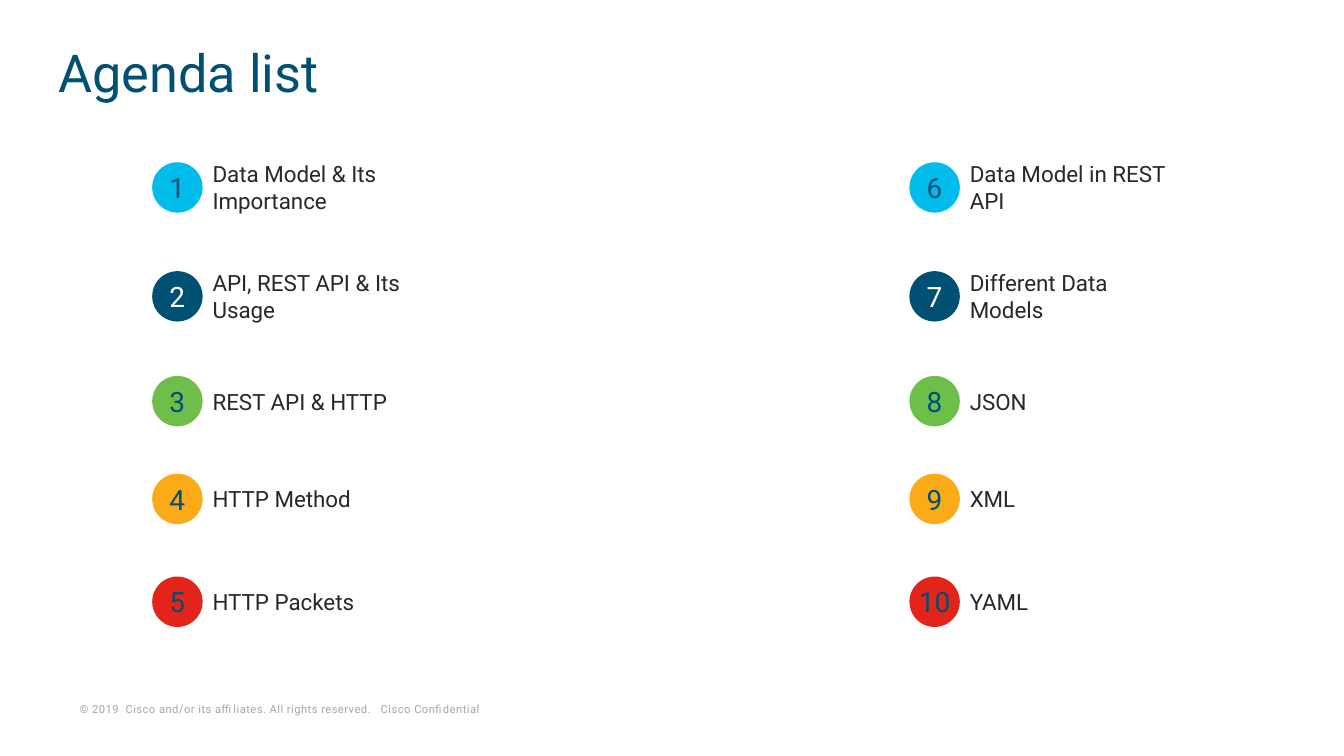
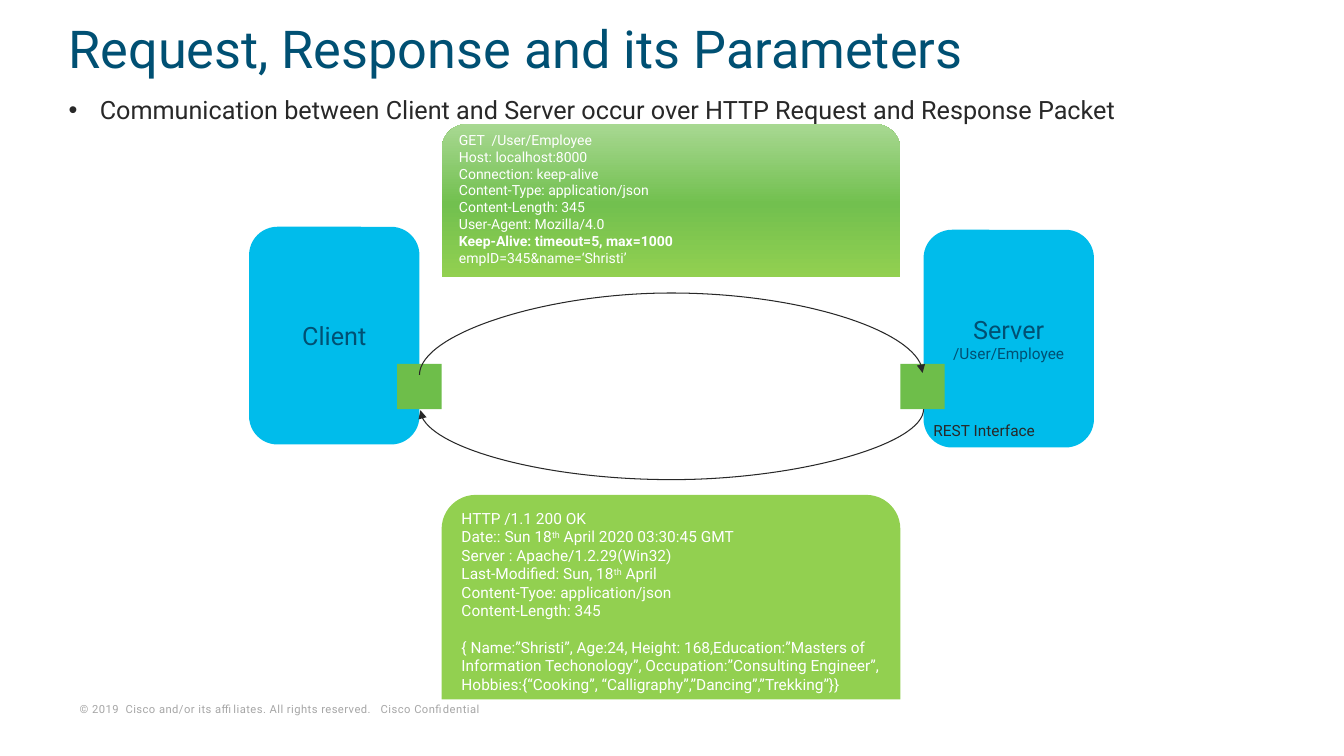
"""Build a two-slide deck on REST APIs: an agenda and a request and response diagram."""
import copy
from dataclasses import dataclass

import pptx
import pptx.dml.color
import pptx.enum.shapes
import pptx.enum.text
import pptx.oxml.ns
import pptx.util
from lxml import etree

Inches = pptx.util.Inches
Shape = pptx.enum.shapes.MSO_SHAPE
Anchor = pptx.enum.text.MSO_ANCHOR
Align = pptx.enum.text.PP_ALIGN
qn = pptx.oxml.ns.qn


@dataclass(frozen=True)
class Theme:
    font: str = "Roboto"
    navy: str = "005073"
    sky: str = "00BCEB"
    green: str = "6EBE4A"
    lime: str = "92D050"
    amber: str = "FBAB18"
    red: str = "E3241B"
    ink: str = "282828"
    grey: str = "A6A6A6"
    white: str = "FFFFFF"
    request_stops: tuple = ((0, "92D050"), (0.48, "72C04F"), (1, "A8D892"))
    title: float = 37.3
    number: float = 20
    heading: float = 18
    label: float = 16
    detail: float = 11
    code: float = 10
    footer: float = 8


@dataclass(frozen=True)
class Span:
    text: str
    bold: bool = False
    raised: bool = False


THEME = Theme()
FOOTER = "© 2019  Cisco and/or its affiliates. All rights reserved.   Cisco Confidential"
AGENDA_COLUMNS = (
    (1.51, ("Data Model & Its Importance", "API, REST API & Its Usage",
            "REST API & HTTP", "HTTP Method", "HTTP Packets")),
    (9.02, ("Data Model in REST API", "Different Data Models", "JSON", "XML", "YAML")),
)
AGENDA_ROWS = (
    (1.86, THEME.sky, THEME.navy),
    (2.94, THEME.navy, THEME.white),
    (3.98, THEME.green, THEME.navy),
    (4.95, THEME.amber, THEME.navy),
    (5.97, THEME.red, THEME.navy),
)
REQUEST_LINES = (
    (Span("GET  /User/Employee"),),
    (Span("Host: localhost:8000"),),
    (Span("Connection: keep-alive"),),
    (Span("Content-Type: application/json"),),
    (Span("Content-Length: 345"),),
    (Span("User-Agent: Mozilla/4.0"),),
    (Span("Keep-Alive: timeout=5, max=1000", bold=True),),
    (Span("empID=345&name=‘Shristi’"),),
)
RESPONSE_LINES = (
    (Span("HTTP /1.1 200 OK"),),
    (Span("Date:: Sun 18"), Span("th", raised=True), Span(" April 2020 03:30:45 GMT")),
    (Span("Server : Apache/1.2.29(Win32)"),),
    (Span("Last-Modified: Sun, 18"), Span("th", raised=True), Span(" April")),
    (Span("Content-Tyoe: application/json"),),
    (Span("Content-Length: 345"),),
    (Span("{ Name:”Shristi”, Age:24, Height: 168,Education:”Masters of Information "
          "Techonology”, Occupation:”Consulting Engineer”, "
          "Hobbies:{“Cooking”, “Calligraphy”,”Dancing”,”Trekking”}}"),),
)


def rgb(value):
    return pptx.dml.color.RGBColor.from_string(value)


def place(shape, left, top, width, height):
    shape.left, shape.top = Inches(left), Inches(top)
    shape.width, shape.height = Inches(width), Inches(height)


def write_para(para, spans, size, colour, align=Align.LEFT):
    para.alignment = align
    for span in spans:
        run = para.add_run()
        run.text = span.text
        run.font.name = THEME.font
        run.font.size = pptx.util.Pt(size)
        run.font.bold = span.bold
        run.font.color.rgb = rgb(colour)
        if span.raised:
            run.font._element.set("baseline", "30000")


def write_lines(frame, lines, size, colour, align=Align.LEFT):
    for index, spans in enumerate(lines):
        para = frame.add_paragraph() if index else frame.paragraphs[0]
        write_para(para, spans, size, colour, align)


def add_label(slide, bounds, text, size, colour, anchor=Anchor.TOP, wrap=True):
    box = slide.shapes.add_textbox(*map(Inches, bounds))
    frame = box.text_frame
    frame.word_wrap = wrap
    frame.vertical_anchor = anchor
    write_para(frame.paragraphs[0], [Span(text)], size, colour)
    return box


def add_block(slide, kind, bounds, fill):
    block = slide.shapes.add_shape(kind, *map(Inches, bounds))
    block.shadow.inherit = False
    block.fill.solid()
    block.fill.fore_color.rgb = rgb(fill)
    block.line.fill.background()
    block.text_frame.word_wrap = True
    block.text_frame.vertical_anchor = Anchor.MIDDLE
    return block


def add_badge(slide, left, centre, number, fill, colour):
    badge = add_block(slide, Shape.OVAL, (left, centre - 0.25, 0.5, 0.5), fill)
    frame = badge.text_frame
    frame.margin_left = frame.margin_right = 0
    write_para(frame.paragraphs[0], [Span(str(number))], THEME.number, colour, Align.CENTER)


def add_node(slide, left, top, name, detail=None):
    node = add_block(slide, Shape.ROUNDED_RECTANGLE, (left, top, 1.69, 2.16), THEME.sky)
    frame = node.text_frame
    write_para(frame.paragraphs[0], [Span(name)], THEME.heading, THEME.navy, Align.CENTER)
    if detail:
        write_para(frame.add_paragraph(), [Span(detail)], THEME.detail, THEME.navy, Align.CENTER)


def add_port(slide, left):
    add_block(slide, Shape.RECTANGLE, (left, 3.61, 0.44, 0.45), THEME.green)


def add_packet(slide, top, height, lines, size, inset):
    bounds = (4.38, top, 4.55, height)
    packet = add_block(slide, Shape.ROUND_2_SAME_RECTANGLE, bounds, THEME.lime)
    frame = packet.text_frame
    frame.vertical_anchor = Anchor.TOP
    frame.margin_top, frame.margin_bottom = Inches(inset), 0
    write_lines(frame, lines, size, THEME.white)
    return packet


def shade(shape, stops):
    """Fill a shape with a gradient that runs upwards through the stops."""
    shape.fill.gradient()
    shape.fill.gradient_angle = 90
    stop_list = shape._element.spPr.find(".//" + qn("a:gsLst"))
    while len(stop_list) < len(stops):
        stop_list.append(copy.deepcopy(stop_list[0]))
    for stop, (position, colour) in zip(shape.fill.gradient_stops, stops):
        stop.position = position
        stop.color.rgb = rgb(colour)


def add_arc_arrow(slide, start, end, rise):
    """Draw a curved arrow, turned a quarter, that bulges up when it goes right."""
    (start_x, start_y), (end_x, end_y) = start, end
    width, height = abs(end_y - start_y), abs(end_x - start_x)
    left = (start_x + end_x - width) / 2
    top = (start_y + end_y - height) / 2
    corners = [(left, top), (left + width, top + height)]
    if end_x > start_x:
        corners.reverse()
    arrow = slide.shapes.add_connector(
        pptx.enum.shapes.MSO_CONNECTOR.CURVE,
        *(Inches(value) for corner in corners for value in corner))
    arrow.rotation = 90
    arrow.line.color.rgb = rgb(THEME.ink)
    arrow.line.width = pptx.util.Pt(0.75)
    properties = arrow._element.spPr
    guides = properties.find(".//" + qn("a:avLst"))
    bend = round(rise / width * 100000)
    etree.SubElement(guides, qn("a:gd"), name="adj1", fmla=f"val {bend}")
    etree.SubElement(properties.find(qn("a:ln")), qn("a:tailEnd"), type="triangle")
    etree.SubElement(properties, qn("a:effectLst"))


def set_title(slide, text, bounds):
    title = slide.shapes.title
    place(title, *bounds)
    frame = title.text_frame
    frame.auto_size = pptx.enum.text.MSO_AUTO_SIZE.NONE
    frame.vertical_anchor = Anchor.MIDDLE
    para = frame.paragraphs[0]
    para.line_spacing = 0.8
    write_para(para, [Span(text)], THEME.title, THEME.navy)


def set_bullet(slide, text, bounds):
    body = slide.placeholders[1]
    place(body, *bounds)
    body.text_frame.auto_size = pptx.enum.text.MSO_AUTO_SIZE.NONE
    para = body.text_frame.paragraphs[0]
    para.space_before = 0
    para.space_after = pptx.util.Pt(6)
    properties = para._p.get_or_add_pPr()
    properties.set("marL", str(Inches(0.31)))
    properties.set("indent", str(-Inches(0.31)))
    etree.SubElement(properties, qn("a:buChar"), char="•")
    write_para(para, [Span(text)], THEME.heading, THEME.ink)


def add_master_footer(deck, slide):
    """Write the footer once and move it to the master that all slides share."""
    box = add_label(slide, (0.7, 6.91, 4.96, 0.23), FOOTER, THEME.footer, THEME.grey,
                    Anchor.BOTTOM)
    frame = box.text_frame
    frame.margin_left = frame.margin_right = Inches(0.09)
    frame.margin_top = frame.margin_bottom = Inches(0.04)
    frame.paragraphs[0].runs[0].font._element.set("spc", "30")
    deck.slide_master.shapes._spTree.append(box._element)


def build_agenda(deck):
    slide = deck.slides.add_slide(deck.slide_layouts.get_by_name("Title Only"))
    set_title(slide, "Agenda list", (0.48, 0.37, 9.13, 0.8))
    number = 0
    for left, topics in AGENDA_COLUMNS:
        for topic, (centre, fill, colour) in zip(topics, AGENDA_ROWS):
            number += 1
            add_badge(slide, left, centre, number, fill, colour)
            add_label(slide, (left + 0.5, centre - 0.32, 2.23, 0.64), topic,
                      THEME.label, THEME.ink, Anchor.MIDDLE)
    return slide


def build_exchange(deck):
    slide = deck.slides.add_slide(deck.slide_layouts.get_by_name("Title and Content"))
    set_title(slide, "Request, Response and its Parameters", (0.58, 0, 12.17, 1.07))
    set_bullet(slide, "Communication between Client and Server occur over HTTP Request "
                      "and Response Packet", (0.58, 0.89, 12.46, 0.4))
    add_node(slide, 2.47, 2.25, "Client")
    add_node(slide, 9.16, 2.28, "Server", "/User/Employee")
    for left in (3.94, 8.93):
        add_port(slide, left)
    add_arc_arrow(slide, (4.16, 3.72), (9.15, 3.7), 0.81)
    add_arc_arrow(slide, (9.16, 4.06), (4.17, 4.07), 0.71)
    add_label(slide, (9.16, 4.13, 1.23, 0.29), "REST Interface", THEME.detail, THEME.ink,
              wrap=False)
    request = add_packet(slide, 1.23, 1.52, REQUEST_LINES, THEME.code, 0)
    shade(request, THEME.request_stops)
    response = add_packet(slide, 4.91, 2.03, RESPONSE_LINES, THEME.detail, 0.04)
    response.text_frame.paragraphs[-1].space_before = pptx.util.Pt(13)


def main():
    deck = pptx.Presentation()
    deck.slide_width, deck.slide_height = Inches(13.33), Inches(7.5)
    agenda = build_agenda(deck)
    add_master_footer(deck, agenda)
    build_exchange(deck)
    deck.save("out.pptx")


if __name__ == "__main__":
    main()
